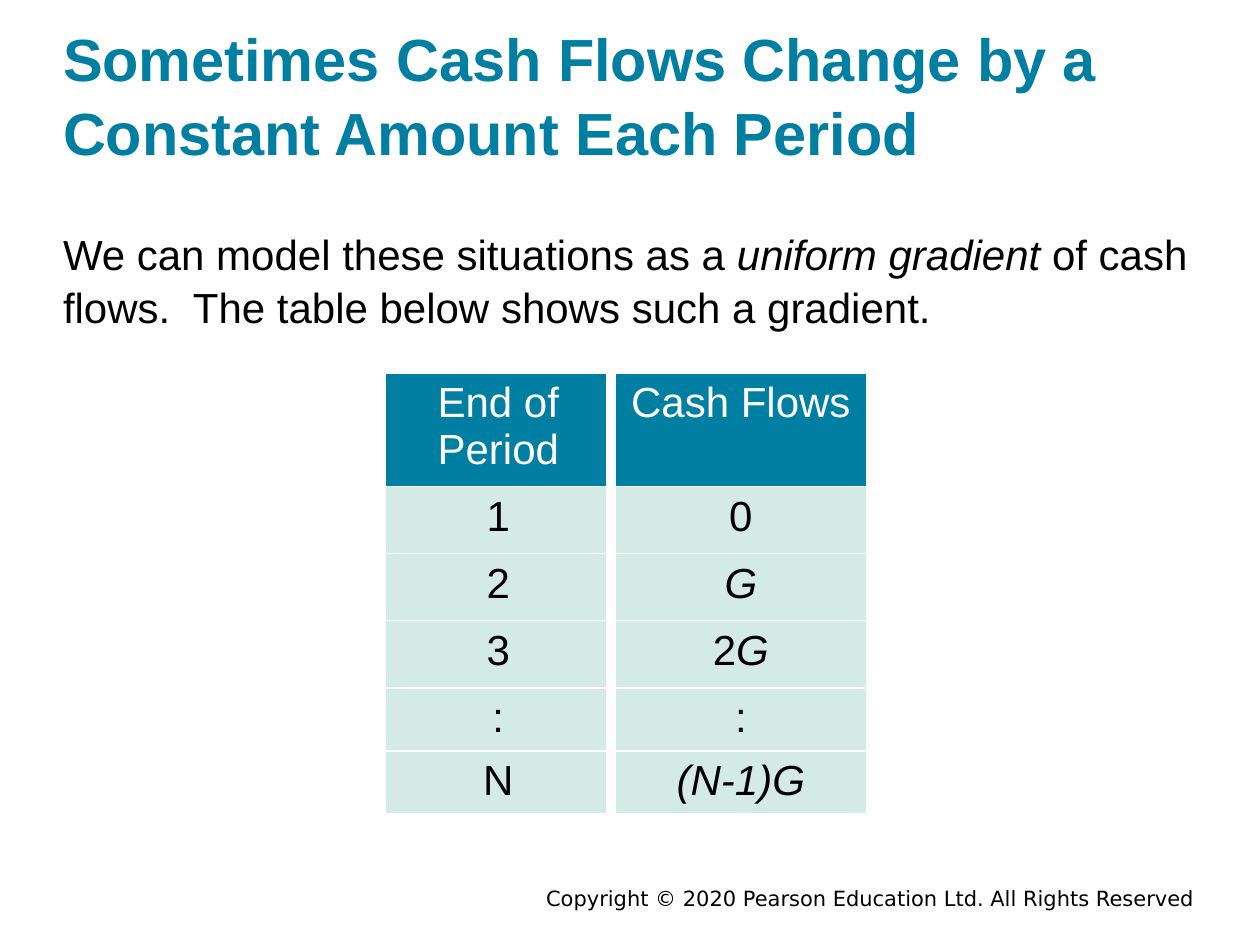
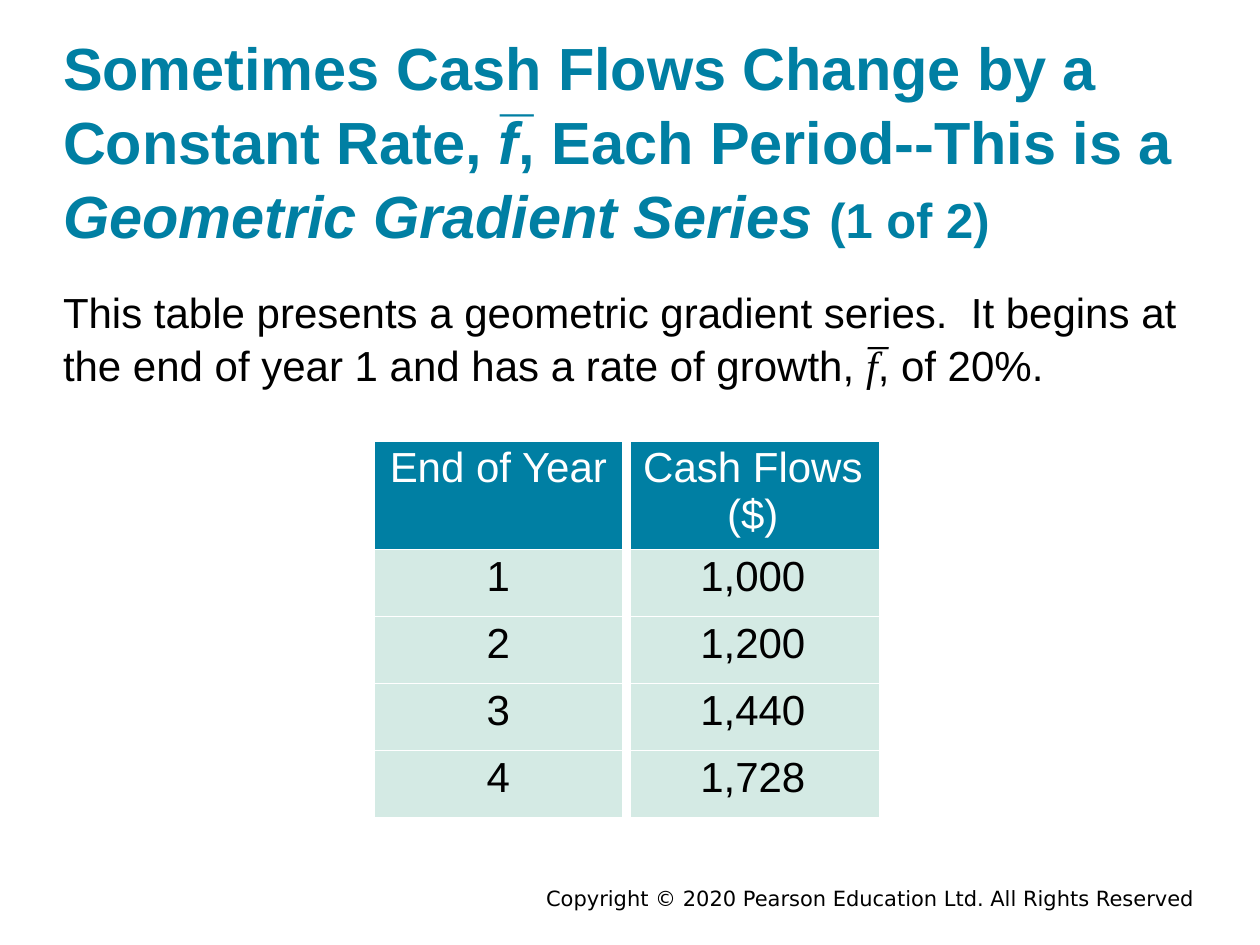
import pptx
import pptx.dml.color
import pptx.enum.text
import pptx.oxml.ns
import pptx.util
from lxml import etree

WIDTH, HEIGHT = pptx.util.Inches(10), pptx.util.Inches(7.5)
COLORS = {"teal": "007FA3", "mint": "D4EAE4", "white": "FFFFFF", "black": "000000"}
ALIGN = pptx.enum.text.PP_ALIGN
ANCHOR = pptx.enum.text.MSO_ANCHOR

MARGIN, CONTENT = 5, 89.8  # percent of the slide's width
ITALIC = {"italic": True}
COPYRIGHT = "Copyright © 2020 Pearson Education Ltd. All Rights Reserved"


def across(percent):
    return round(WIDTH * percent / 100)


def down(percent):
    return round(HEIGHT * percent / 100)


def color(name):
    return pptx.dml.color.RGBColor.from_string(COLORS[name])


def write(frame, pieces, size=24, font="Arial", ink="black", bold=False,
          align=ALIGN.LEFT, spacing=None):
    """Fill a text frame; each piece is a string or a (string, overrides) pair."""
    paragraph = frame.paragraphs[0]
    paragraph.alignment = align
    paragraph.line_spacing = spacing
    for piece in [pieces] if isinstance(pieces, str) else pieces:
        words, changes = (piece, {}) if isinstance(piece, str) else piece
        run = paragraph.add_run()
        run.text = words
        run.font.size = pptx.util.Pt(changes.get("size", size))
        run.font.name = changes.get("font", font)
        run.font.italic = changes.get("italic", False)
        run.font.bold = bold
        run.font.color.rgb = color(ink)


def add_text(slide, left, top, width, height, pieces, anchor=ANCHOR.TOP, **style):
    """Place text without insets; lengths are percent of the slide."""
    box = slide.shapes.add_textbox(across(left), down(top), across(width), down(height))
    frame = box.text_frame
    frame.word_wrap = True
    frame.vertical_anchor = anchor
    frame.margin_left = frame.margin_right = frame.margin_top = frame.margin_bottom = 0
    write(frame, pieces, **style)


def add_title(slide, top, height, pieces):
    add_text(slide, MARGIN, top, CONTENT, height, pieces, anchor=ANCHOR.BOTTOM,
             size=34, ink="teal", bold=True, spacing=1.04)


def add_body(slide, top, height, pieces):
    add_text(slide, MARGIN, top, CONTENT, height, pieces, spacing=1.04)


def add_footer(slide):
    add_text(slide, 28.4, 93.73, 66.4, 4, COPYRIGHT, size=12,
             font="DejaVu Sans", align=ALIGN.RIGHT)


def set_borders(cell, widths):
    """Draw white cell borders, in points; a zero width hides the side."""
    properties = cell._tc.get_or_add_tcPr()
    qn = pptx.oxml.ns.qn
    for position, (side, points) in enumerate(zip("LRTB", widths)):
        line = etree.Element(qn(f"a:ln{side}"), w=str(pptx.util.Pt(points)))
        if points:
            fill = etree.SubElement(line, qn("a:solidFill"))
            etree.SubElement(fill, qn("a:srgbClr"), val=COLORS["white"])
        else:
            etree.SubElement(line, qn("a:noFill"))
        properties.insert(position, line)


def add_cash_flow_table(slide, left, top, columns, heights, rows,
                        outer=(0, 0), insets=(0.1, 0.05)):
    """Columns and heights are percent of the slide; outer is the left and right border."""
    table = slide.shapes.add_table(
        len(rows), len(columns), across(left), down(top),
        across(sum(columns)), down(sum(heights))).table
    for column, width in zip(table.columns, columns):
        column.width = across(width)
    edges = [outer[0], *[6] * (len(columns) - 1), outer[1]]
    for index, (entries, height) in enumerate(zip(rows, heights)):
        table.rows[index].height = down(height)
        fill, ink = ("mint", "black") if index else ("teal", "white")
        for place, entry in enumerate(entries):
            cell = table.cell(index, place)
            cell.margin_left = cell.margin_right = pptx.util.Inches(insets[0])
            cell.margin_top = cell.margin_bottom = pptx.util.Inches(insets[1])
            cell.fill.solid()
            cell.fill.fore_color.rgb = color(fill)
            set_borders(cell, (edges[place], edges[place + 1], 0.75, 0.75))
            write(cell.text_frame, entry, ink=ink, align=ALIGN.CENTER)


def build_uniform_gradient(slide):
    add_title(slide, 1.87, 15.87,
              "Sometimes Cash Flows Change by a Constant Amount Each Period")
    add_body(slide, 24, 12.4, [
        "We can model these situations as a ", ("uniform gradient", ITALIC),
        " of cash flows.  The table below shows such a gradient."])
    add_cash_flow_table(
        slide, 30.6, 39.5, (17.9, 20.6), (10.4, 7.1, 7.1, 7.1, 4.67, 3.6),
        [("End of Period", "Cash Flows"),
         ("1", "0"),
         ("2", [("G", ITALIC)]),
         ("3", ["2", ("G", ITALIC)]),
         (":", ":"),
         ("N", [("(N-1)G", ITALIC)])],
        outer=(0, 6))


def build_geometric_gradient(slide):
    add_title(slide, 3.6, 22.93, [
        "Sometimes Cash Flows Change by a Constant Rate, ", ("f̅", ITALIC),
        ", Each Period--This is a ", ("Geometric Gradient Series ", ITALIC),
        ("(1 of 2)", {"size": 28})])
    add_body(slide, 30.13, 13.87, [
        "This table presents a geometric gradient series.  It begins at the end of "
        "year 1 and has a rate of growth, ",
        ("f̅", {"font": "Times New Roman", **ITALIC}), ", of 20%."])
    add_cash_flow_table(
        slide, 29.4, 46.67, (20.3, 20.1), (6.67, *[7.1] * 4),
        [("End of Year", "Cash Flows ($)"),
         ("1", "1,000"),
         ("2", "1,200"),
         ("3", "1,440"),
         ("4", "1,728")],
        outer=(6, 0), insets=(0.07, 0.03))


def main():
    deck = pptx.Presentation()
    deck.slide_width, deck.slide_height = WIDTH, HEIGHT
    for build in (build_uniform_gradient, build_geometric_gradient):
        slide = deck.slides.add_slide(deck.slide_layouts[6])
        add_footer(slide)
        build(slide)
    deck.save("out.pptx")


if __name__ == "__main__":
    main()
